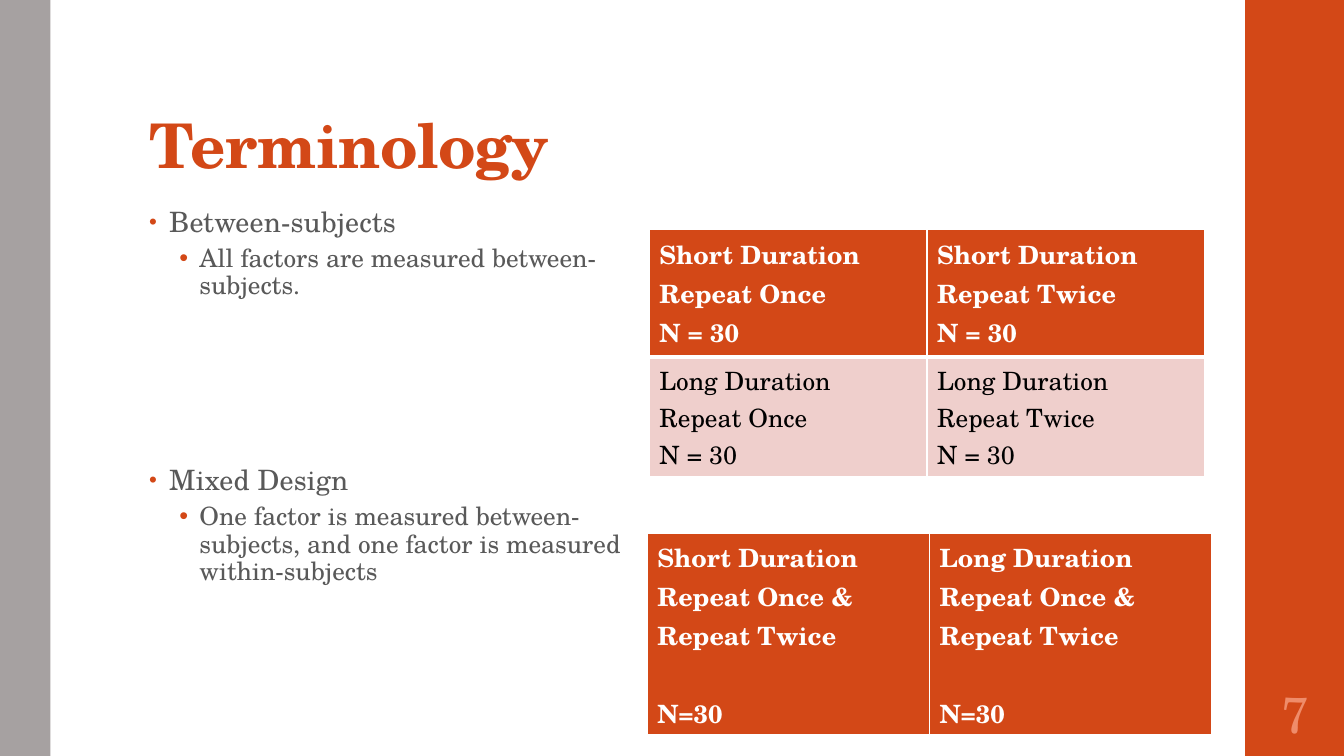
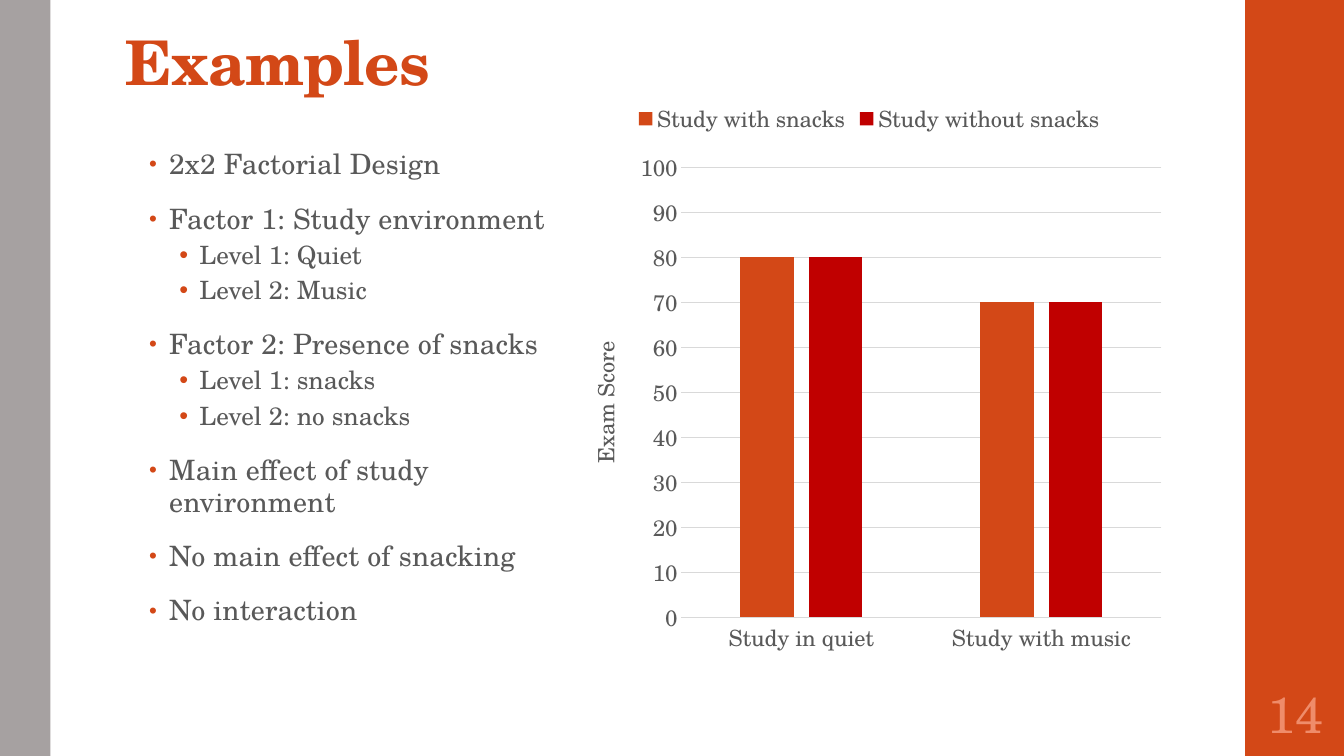
from lxml import etree
from pptx import Presentation
from pptx.chart.data import CategoryChartData
from pptx.dml.color import RGBColor
from pptx.enum import chart as charts, shapes, text
from pptx.oxml.ns import qn
from pptx.util import Inches, Pt


class Theme:
    font = "TeX Gyre Schola"
    orange, grey, red = "D34817", "A6A1A1", "C00000"
    body, pale, number, grid = "595959", "EFCFCC", "EF8C6A", "D9D9D9"
    white, black = "FFFFFF", "000000"
    title_size, number_size, chart_size, table_size = 44, 36, 16, 18


# One entry per bullet level
LEVELS = [
    dict(size=20, indent=0.2, line=0.95, before=14, after=2, bullet=80, tracking=10),
    dict(size=18, indent=0.5, line=0.9, before=3, after=3, bullet=100, tracking=0),
]
HANGING = 0.2

# Bullets are (level, wording), with an optional space before in points
TERMS = [
    (0, "Between-subjects"),
    (1, "All factors are measured between-subjects."),
    (0, "Mixed Design", 115),
    (1, "One factor is measured between-subjects, and one factor is measured within-subjects"),
]
BETWEEN_GROUPS = [
    [[f"{duration} Duration", f"Repeat {times}", "N = 30"] for times in ("Once", "Twice")]
    for duration in ("Short", "Long")
]
MIXED_GROUPS = [
    [[f"{duration} Duration", "Repeat Once & Repeat Twice", "N=30"]
     for duration in ("Short", "Long")]
]
EXAMPLE = [
    (0, "2x2 Factorial Design"),
    (0, "Factor 1: Study environment"),
    (1, "Level 1: Quiet"),
    (1, "Level 2: Music"),
    (0, "Factor 2: Presence of snacks"),
    (1, "Level 1: snacks"),
    (1, "Level 2: no snacks"),
    (0, "Main effect of study environment"),
    (0, "No main effect of snacking"),
    (0, "No interaction"),
]
ENVIRONMENTS = ["Study in quiet", "Study with music"]
SCORES = [
    ("Study with snacks", (80, 70), Theme.orange),
    ("Study without snacks", (80, 70), Theme.red),
]


def rgb(color):
    return RGBColor.from_string(color)


def paint(target, color):
    target.fill.solid()
    target.fill.fore_color.rgb = rgb(color)


def set_font(font, size, color, bold=False):
    font.name, font.size, font.bold = Theme.font, Pt(size), bold
    font.color.rgb = rgb(color)


def set_tracking(para, hundredths):
    para.font._element.set("spc", str(hundredths))


def add_text(page, place, anchor=text.MSO_ANCHOR.TOP, margins=(0.1, 0.05, 0.1, 0.05)):
    frame = page.shapes.add_textbox(*map(Inches, place)).text_frame
    frame.word_wrap = True
    frame.vertical_anchor = anchor
    (frame.margin_left, frame.margin_top,
     frame.margin_right, frame.margin_bottom) = map(Inches, margins)
    return frame


def add_page(deck, title, title_at, number):
    """Blank slide with the side bands, title and slide number."""
    page = deck.slides.add_slide(deck.slide_layouts[6])
    for left, width, color in ((12.35, 1, Theme.orange), (0, 0.5, Theme.grey)):
        band = page.shapes.add_shape(shapes.MSO_SHAPE.RECTANGLE, Inches(left), 0,
                                     Inches(width), deck.slide_height)
        band.shadow.inherit = False
        band.line.fill.background()
        paint(band, color)

    para = add_text(page, (*title_at, 10.6, 1.53), text.MSO_ANCHOR.BOTTOM,
                    (0.1, 0.03, 0.1, 0.05)).paragraphs[0]
    para.text = title
    para.line_spacing = 0.9
    set_font(para.font, Theme.title_size, Theme.orange, True)
    set_tracking(para, -50)

    para = add_text(page, (12.35, 6.75, 1, 0.65), text.MSO_ANCHOR.MIDDLE,
                    (0.05,) * 4).paragraphs[0]
    para.text = str(number)
    para.alignment = text.PP_ALIGN.CENTER
    set_font(para.font, Theme.number_size, Theme.number)
    return page


def add_bullets(page, place, bullets):
    frame = add_text(page, place)
    for index, (level, wording, *before) in enumerate(bullets):
        style = LEVELS[level]
        para = frame.add_paragraph() if index else frame.paragraphs[0]
        para.text = wording
        para.level = level
        para.line_spacing = style["line"]
        para.space_before = Pt(before[0] if before else style["before"])
        para.space_after = Pt(style["after"])
        props = para._p.get_or_add_pPr()
        props.set("marL", str(Inches(style["indent"])))
        props.set("indent", str(-Inches(HANGING)))
        color = etree.SubElement(props, qn("a:buClr"))
        etree.SubElement(color, qn("a:srgbClr"), val=Theme.orange)
        etree.SubElement(props, qn("a:buSzPct"), val=str(style["bullet"] * 1000))
        etree.SubElement(props, qn("a:buFont"), typeface="Arial")
        etree.SubElement(props, qn("a:buChar"), char="•")
        set_font(para.font, style["size"], Theme.body)
        set_tracking(para, style["tracking"])


def set_borders(cell, bottom):
    props = cell._tc.get_or_add_tcPr()
    for index, (side, width) in enumerate(zip("LRTB", (1, 1, 1, bottom))):
        line = etree.Element(qn(f"a:ln{side}"), w=str(Pt(width)))
        fill = etree.SubElement(line, qn("a:solidFill"))
        etree.SubElement(fill, qn("a:srgbClr"), val=Theme.white)
        props.insert(index, line)


def add_groups(page, left, top, width, heights, groups, last_gap=0):
    """Table of groups; last_gap is the space above each cell's last line."""
    place = map(Inches, (left, top, width, sum(heights)))
    table = page.shapes.add_table(len(groups), len(groups[0]), *place).table
    for row, (cells, height) in enumerate(zip(groups, heights)):
        table.rows[row].height = Inches(height)
        header = row == 0
        for column, lines in enumerate(cells):
            cell = table.cell(row, column)
            paint(cell, Theme.orange if header else Theme.pale)
            set_borders(cell, 3 if header else 1)
            cell.text = "\n".join(lines)
            paras = cell.text_frame.paragraphs
            for para in paras:
                set_font(para.font, Theme.table_size,
                         Theme.white if header else Theme.black, header)
            if last_gap:
                paras[-1].space_before = Pt(last_gap)


def add_scores(page, place):
    data = CategoryChartData()
    data.categories = ENVIRONMENTS
    for name, values, _ in SCORES:
        data.add_series(name, values)
    chart = page.shapes.add_chart(charts.XL_CHART_TYPE.COLUMN_CLUSTERED,
                                  *map(Inches, place), data).chart
    set_font(chart.font, Theme.chart_size, Theme.body)
    chart.has_title = False
    chart.has_legend = True
    chart.legend.position = charts.XL_LEGEND_POSITION.TOP
    chart.legend.include_in_layout = False

    plot = chart.plots[0]
    plot.vary_by_categories = False
    plot.gap_width, plot.overlap = 219, -27
    for series, (_, _, color) in zip(plot.series, SCORES):
        paint(series.format, color)

    scale = chart.value_axis
    scale.minimum_scale, scale.maximum_scale, scale.major_unit = 0, 100, 10
    scale.format.line.fill.background()
    para = scale.axis_title.text_frame.paragraphs[0]
    para.text = "Exam Score"
    set_font(para.font, Theme.chart_size, Theme.body)
    for line in (scale.major_gridlines.format.line, chart.category_axis.format.line):
        line.color.rgb = rgb(Theme.grid)
        line.width = Pt(0.75)
    for axis in (scale, chart.category_axis):
        axis.major_tick_mark = charts.XL_TICK_MARK.NONE


def main():
    deck = Presentation()
    deck.slide_width, deck.slide_height = Inches(13.33), Inches(7.5)

    page = add_page(deck, "Terminology", (1.38, 0.32), 7)
    add_bullets(page, (1.38, 2, 5.39, 4.76), TERMS)
    add_groups(page, 6.44, 2.28, 5.51, (1.26, 1.19), BETWEEN_GROUPS)
    add_groups(page, 6.42, 5.29, 5.6, (2.01,), MIXED_GROUPS, last_gap=28)

    page = add_page(deck, "Examples", (1.15, -0.5), 14)
    add_bullets(page, (1.38, 1.43, 4.22, 5.32), EXAMPLE)
    add_scores(page, (5.6, 0.9, 6.04, 5.7))

    deck.save("out.pptx")


if __name__ == "__main__":
    main()
